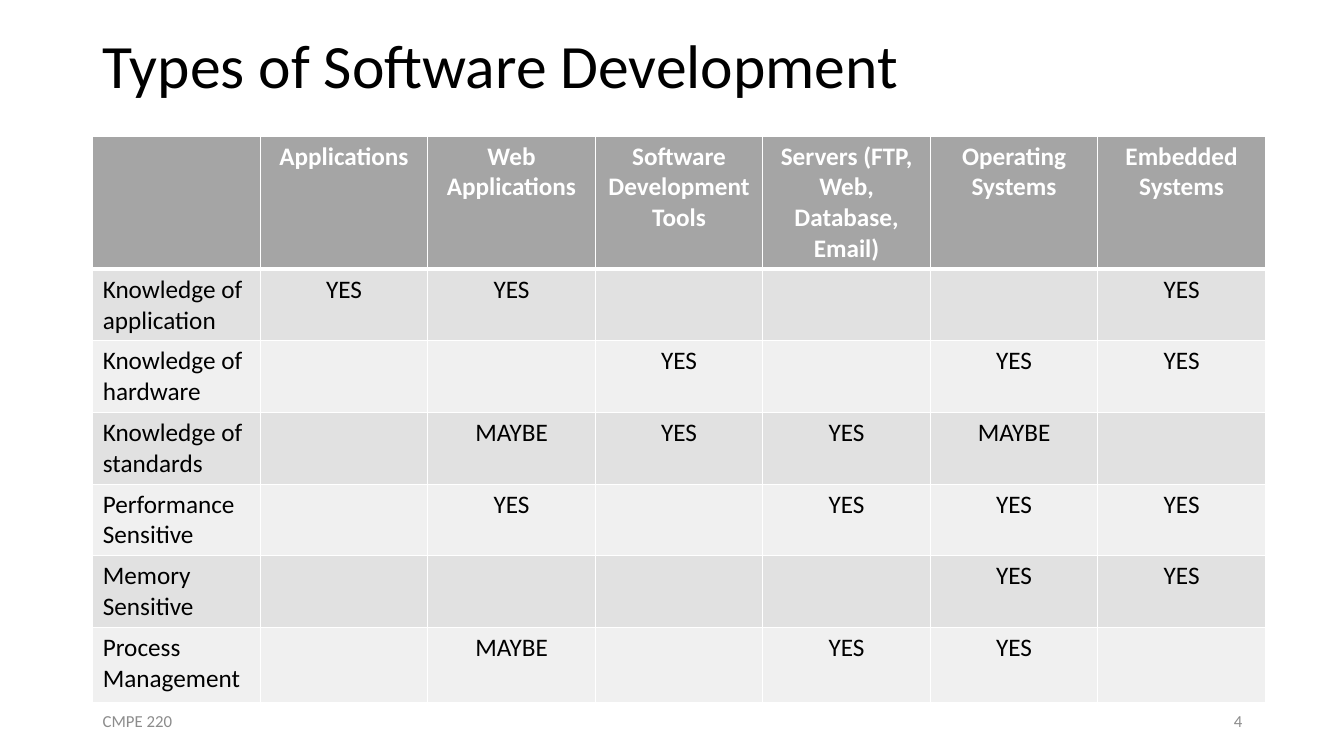
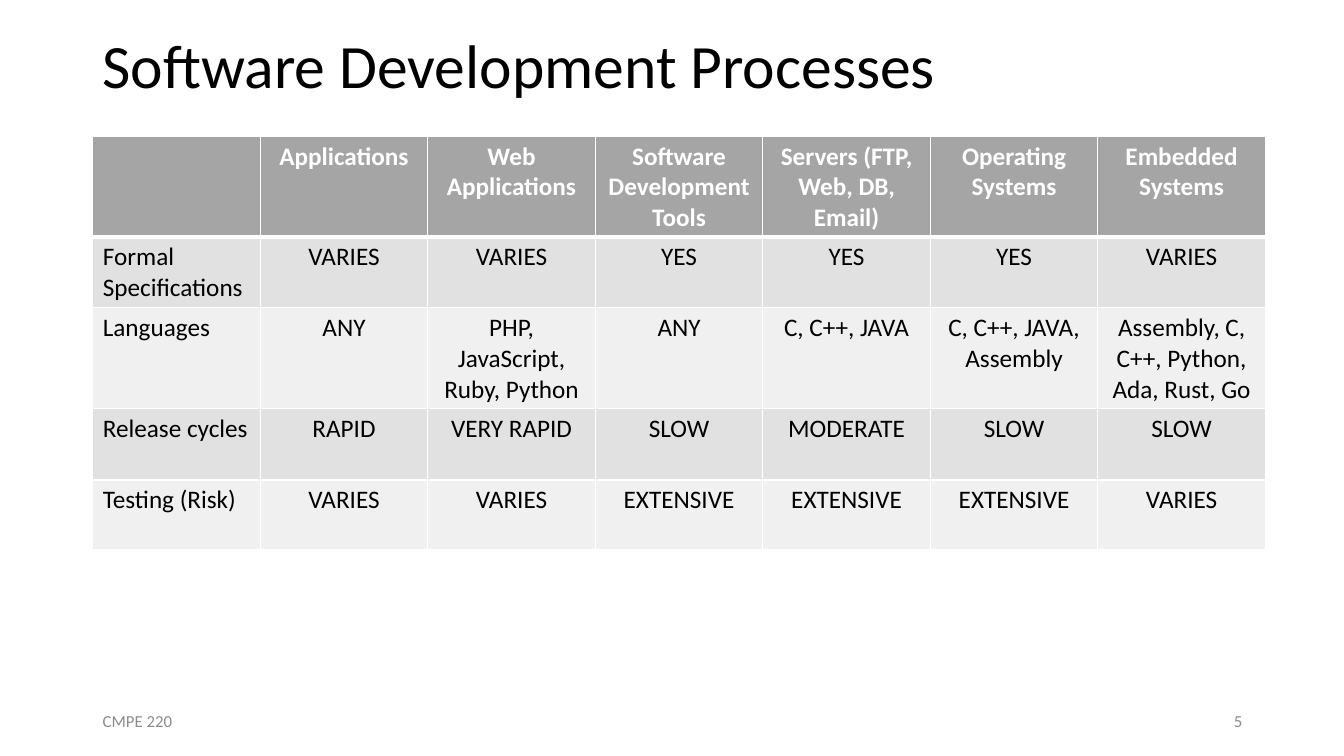
from lxml import etree
from pptx import Presentation
from pptx.dml.color import RGBColor
from pptx.enum import text
from pptx.oxml import ns
from pptx.util import Inches, Pt

FONT = "Calibri"
BLACK, WHITE, MUTED = "000000", "FFFFFF", "8C8C8C"
HEADER_FILL, BAND_FILLS = "A5A5A5", ("E1E1E1", "F0F0F0")
LEFT, CENTER, RIGHT = text.PP_ALIGN.LEFT, text.PP_ALIGN.CENTER, text.PP_ALIGN.RIGHT

# Regions as left, top, width, height in inches
TITLE_BOX = (0.92, 0, 11.5, 1.35)
COURSE_BOX = (0.92, 6.95, 3, 0.4)
NUMBER_BOX = (9.42, 6.95, 3, 0.4)
TABLE_LEFT, TABLE_TOP, TABLE_WIDTH = 0.92, 1.35, 11.63
ROW_HEIGHTS = (0.86, 0.68, 0.67, 0.71, 0.69, 0.66, 0.75)


def color(value):
    return RGBColor.from_string(value)


def style_text(tf, size, fill, align=LEFT, bold=False):
    for p in tf.paragraphs:
        p.alignment = align
        for r in p.runs:
            r.font.name, r.font.size, r.font.bold = FONT, Pt(size), bold
            r.font.color.rgb = color(fill)


def add_label(s, box, label, size, fill, align=LEFT):
    tf = s.shapes.add_textbox(*map(Inches, box)).text_frame
    tf.word_wrap = True
    tf.vertical_anchor = text.MSO_ANCHOR.MIDDLE
    tf.text = label
    style_text(tf, size, fill, align)
    return tf


def set_borders(cell, top, bottom):
    """Draw white borders; widths are in points."""
    tc_pr = cell._tc.get_or_add_tcPr()
    widths = {"lnL": 1, "lnR": 1, "lnT": top, "lnB": bottom}
    for i, (side, width) in enumerate(widths.items()):
        ln = etree.Element(ns.qn("a:" + side), w=str(Pt(width)))
        fill = etree.SubElement(ln, ns.qn("a:solidFill"))
        etree.SubElement(fill, ns.qn("a:srgbClr"), val=WHITE)
        tc_pr.insert(i, ln)


def add_matrix(s, left, top, width, rows):
    heights = ROW_HEIGHTS[:len(rows)]
    frame = s.shapes.add_table(len(rows), len(rows[0]), Inches(left), Inches(top),
                               Inches(width), Inches(sum(heights)))
    table = frame.table
    for col in table.columns:
        col.width = Inches(width / len(rows[0]))
    for i, (height, values) in enumerate(zip(heights, rows)):
        table.rows[i].height = Inches(height)
        header = i == 0
        for j, value in enumerate(values):
            cell = table.cell(i, j)
            cell.text = value
            style_text(cell.text_frame, 18, WHITE if header else BLACK,
                       CENTER if j else LEFT, header)
            cell.fill.solid()
            cell.fill.fore_color.rgb = color(HEADER_FILL if header else BAND_FILLS[(i - 1) % 2])
            set_borders(cell, 3 if i == 1 else 1, 3 if header else 1)


def add_matrix_slide(prs, number, title, rows):
    s = prs.slides.add_slide(prs.slide_layouts[6])
    add_matrix(s, TABLE_LEFT, TABLE_TOP, TABLE_WIDTH, rows)
    tf = add_label(s, TITLE_BOX, title, 44, BLACK)
    tf.paragraphs[0].line_spacing = 0.9
    # Footer
    add_label(s, COURSE_BOX, "CMPE 220", 12, MUTED)
    add_label(s, NUMBER_BOX, str(number), 12, MUTED, RIGHT)


def header_row(servers):
    return ("", "Applications", "Web Applications", "Software Development Tools",
            servers, "Operating Systems", "Embedded Systems")


TYPES = [
    header_row("Servers (FTP, Web, Database, Email)"),
    ("Knowledge of application", "YES", "YES", "", "", "", "YES"),
    ("Knowledge of hardware", "", "", "YES", "", "YES", "YES"),
    ("Knowledge of standards", "", "MAYBE", "YES", "YES", "MAYBE", ""),
    ("Performance Sensitive", "", "YES", "", "YES", "YES", "YES"),
    ("Memory Sensitive", "", "", "", "", "YES", "YES"),
    ("Process Management", "", "MAYBE", "", "YES", "YES", ""),
]
PROCESSES = [
    header_row("Servers (FTP, Web, DB, Email)"),
    ("Formal Specifications", "VARIES", "VARIES", "YES", "YES", "YES", "VARIES"),
    ("Languages", "ANY", "PHP, JavaScript, Ruby, Python", "ANY", "C, C++, JAVA",
     "C, C++, JAVA, Assembly", "Assembly, C, C++, Python, Ada, Rust, Go"),
    ("Release cycles", "RAPID", "VERY RAPID", "SLOW", "MODERATE", "SLOW", "SLOW"),
    ("Testing (Risk)", "VARIES", "VARIES", "EXTENSIVE", "EXTENSIVE", "EXTENSIVE", "VARIES"),
]


def main():
    prs = Presentation()
    prs.slide_width, prs.slide_height = Inches(13.33), Inches(7.5)
    add_matrix_slide(prs, 4, "Types of Software Development", TYPES)
    add_matrix_slide(prs, 5, "Software Development Processes", PROCESSES)
    prs.save("out.pptx")


if __name__ == "__main__":
    main()
